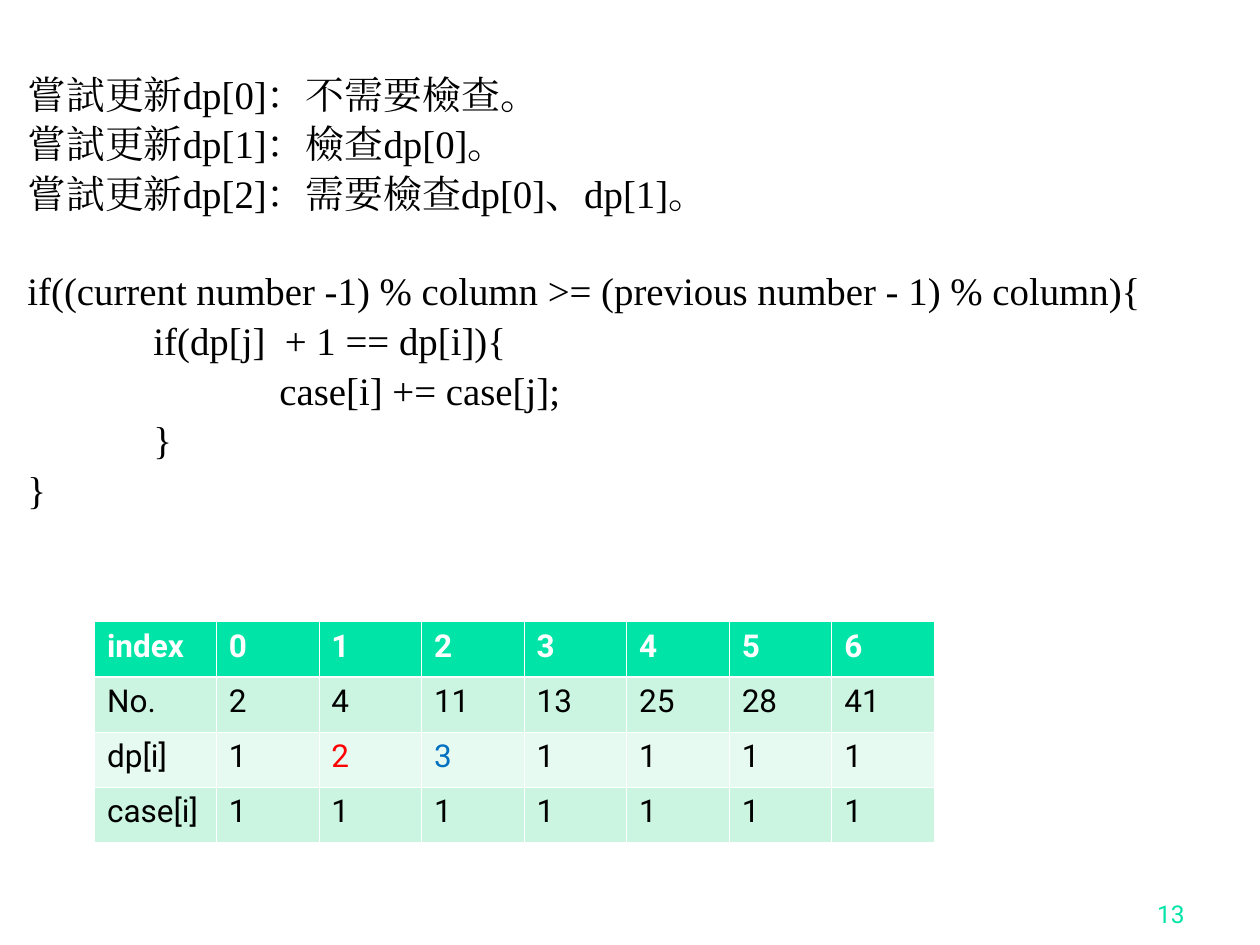
from lxml.etree import SubElement
from pptx import Presentation
from pptx.dml.color import RGBColor
from pptx.enum.text import MSO_ANCHOR, PP_ALIGN
from pptx.oxml.ns import qn
from pptx.util import Pt

BLACK = RGBColor(0, 0, 0)
WHITE = RGBColor(255, 255, 255)
GREEN = RGBColor(0x00, 0xE4, 0xA8)
MINT = RGBColor(0xCB, 0xF5, 0xE1)
PALE = RGBColor(0xE7, 0xFA, 0xF1)
RED = RGBColor(255, 0, 0)
BLUE = RGBColor(0x00, 0x70, 0xC0)

SERIF = "Times New Roman"
SANS = "Roboto"
GAP = 4.4
PITCH = 27.4

NOTES = [
    "嘗試更新dp[0]：不需要檢查。",
    "嘗試更新dp[1]：檢查dp[0]。",
    "嘗試更新dp[2]：需要檢查dp[0]、dp[1]。",
]
CODE = [
    "if((current number -1) % column >= (previous number - 1) % column){",
    "\tif(dp[j]  + 1 == dp[i]){",
    "\t\tcase[i] += case[j];",
    "\t}",
    "}",
]
ROWS = [
    ["index", "0", "1", "2", "3", "4", "5", "6"],
    ["No.", "2", "4", "11", "13", "25", "28", "41"],
    ["dp[i]", "1", "2", "3", "1", "1", "1", "1"],
    ["case[i]", "1", "1", "1", "1", "1", "1", "1"],
]
FILLS = [GREEN, MINT, PALE, MINT]
MARKS = {(2, 2): RED, (2, 3): BLUE}


def put_text(para, text, size=18, font=SANS, color=BLACK, bold=False,
             align=PP_ALIGN.LEFT, space=0, line=None, tabs=()):
    para.alignment = align
    para.space_before = Pt(space)
    if line:
        para.line_spacing = line
    if tabs:
        stops = SubElement(para._p.get_or_add_pPr(), qn("a:tabLst"))
        for stop in tabs:
            SubElement(stops, qn("a:tab"), pos=str(Pt(stop)), algn="l")
    run = para.add_run()
    run.text = text
    run.font.size = Pt(size)
    run.font.name = font
    run.font.bold = bold
    run.font.color.rgb = color
    SubElement(run.font._element, qn("a:ea"), typeface=font)


def add_frame(slide, box, anchor=MSO_ANCHOR.TOP):
    frame = slide.shapes.add_textbox(*map(Pt, box)).text_frame
    frame.word_wrap = True
    frame.vertical_anchor = anchor
    return frame


def add_notes(slide, box):
    frame = add_frame(slide, box)
    for i, text in enumerate(NOTES + CODE):
        para = frame.add_paragraph() if i else frame.paragraphs[0]
        space = GAP if i else 0
        if i == len(NOTES):
            space += PITCH
        put_text(para, text, size=22.2, font=SERIF, space=space, line=0.9,
                 tabs=(72, 144) if "\t" in text else ())


def set_edges(cell, row):
    props = cell._tc.get_or_add_tcPr()
    for side in "LRTB":
        thick = (row, side) in ((0, "B"), (1, "T"))
        edge = SubElement(props, qn("a:ln" + side),
                          w=str(Pt(1.47 if thick else 0.45)))
        fill = SubElement(edge, qn("a:solidFill"))
        SubElement(fill, qn("a:srgbClr"), val=str(WHITE))


def add_grid(slide, box):
    table = slide.shapes.add_table(len(ROWS), len(ROWS[0]), *map(Pt, box)).table
    first = 69.6
    rest = (box[2] - first) / (len(ROWS[0]) - 1)
    for i, col in enumerate(table.columns):
        col.width = Pt(rest if i else first)
    for r, values in enumerate(ROWS):
        table.rows[r].height = Pt(box[3] / len(ROWS))
        for c, text in enumerate(values):
            cell = table.cell(r, c)
            set_edges(cell, r)
            cell.fill.solid()
            cell.fill.fore_color.rgb = FILLS[r]
            color = MARKS.get((r, c), BLACK if r else WHITE)
            put_text(cell.text_frame.paragraphs[0], text, color=color,
                     bold=r == 0)


def add_number(slide, box):
    frame = add_frame(slide, box, MSO_ANCHOR.BOTTOM)
    put_text(frame.paragraphs[0], "13", size=14, color=GREEN,
             align=PP_ALIGN.RIGHT)


def main():
    deck = Presentation()
    deck.slide_width, deck.slide_height = Pt(720), Pt(540)
    slide = deck.slides.add_slide(deck.slide_layouts[6])
    add_notes(slide, (8.6, 39.6, 697.7, 281.5))
    add_number(slide, (534.2, 498.2, 149.8, 36))
    add_grid(slide, (54, 355.2, 480, 126.4))
    deck.save("out.pptx")


if __name__ == "__main__":
    main()
